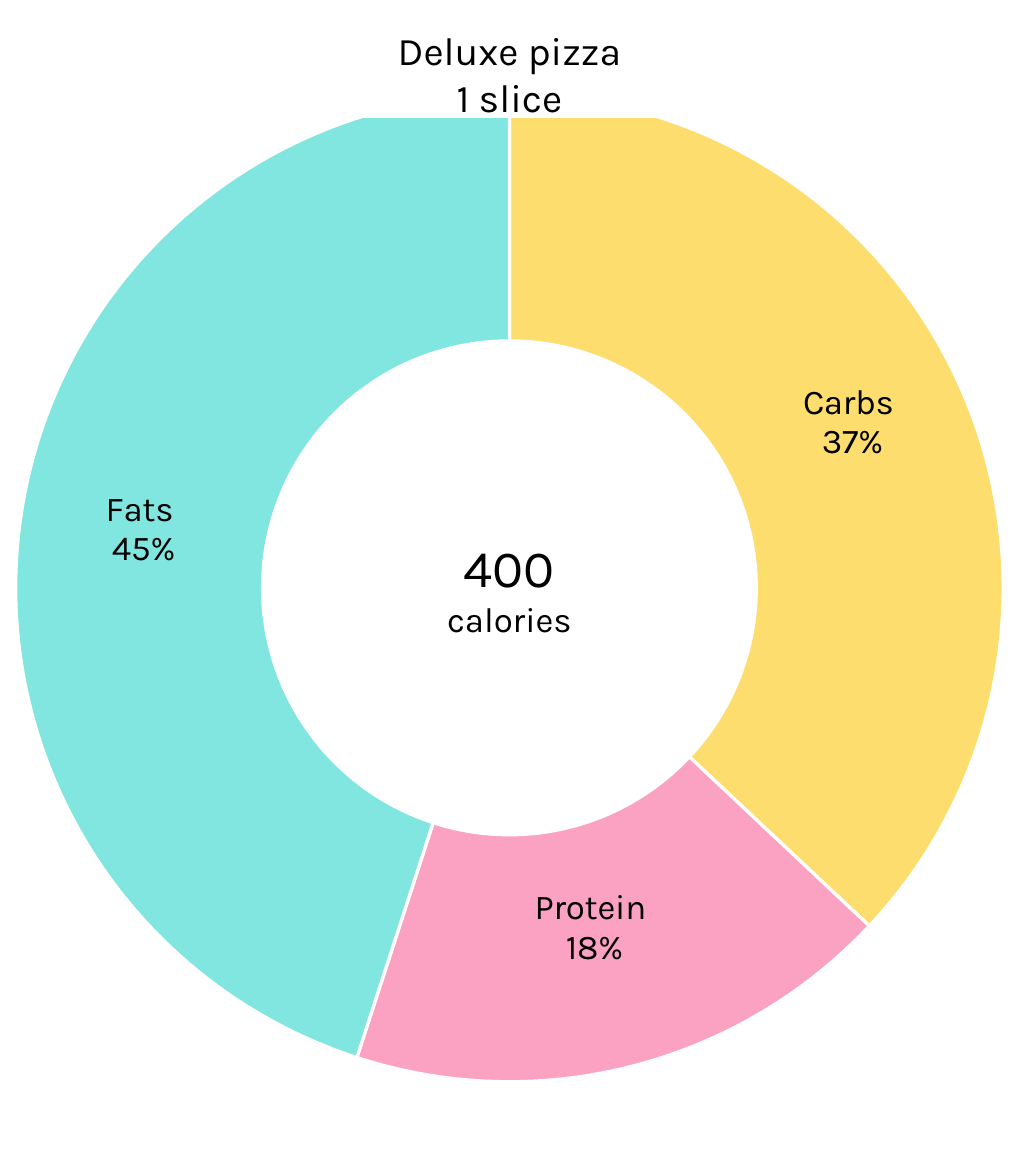
from lxml.etree import SubElement
from pptx import Presentation
from pptx.chart.data import CategoryChartData
from pptx.dml.color import RGBColor
from pptx.enum.chart import XL_CHART_TYPE
from pptx.enum.text import MSO_ANCHOR, MSO_AUTO_SIZE, PP_ALIGN
from pptx.oxml import parse_xml
from pptx.oxml.ns import nsdecls, qn
from pptx.util import Cm, Pt

COLORS = {"text": "000000", "paper": "FFFFFF",
          "Carbs": "FDDD6E", "Protein": "FBA1C1", "Fats": "81E5E0"}
SHARES = {"Carbs": 0.37, "Protein": 0.18, "Fats": 0.45}
LABELS = {"Carbs": ("Carbs ", "37%"), "Protein": ("Protein", " 18%"),
          "Fats": ("Fats ", "45%")}
# How far a label moves right and down from the middle of its segment
LABEL_SHIFTS = {"Carbs": (Cm(0.05), Cm(-0.3)), "Protein": (Cm(-0.18), Cm(-0.3))}
FONT = "Karla"


def color(name):
    return RGBColor.from_string(COLORS[name])


def style_font(font, size, family=FONT):
    font.name = family
    font.size = Pt(size)
    font.bold = False
    font.color.rgb = color("text")


def write_lines(frame, lines):
    """Fill a text frame with centred (text, size) lines."""
    for index, (text, size) in enumerate(lines):
        para = frame.paragraphs[0] if index == 0 else frame.add_paragraph()
        para.alignment = PP_ALIGN.CENTER
        para.add_run().text = text
        style_font(para.font, size)


def layout_xml(**settings):
    layout = parse_xml(f"<c:layout {nsdecls('c')}><c:manualLayout/></c:layout>")
    for name, value in settings.items():
        SubElement(layout[0], qn(f"c:{name}")).set("val", str(value))
    return layout


def add_doughnut(page, left, top, width, height):
    data = CategoryChartData(number_format="0%")
    data.categories = list(SHARES)
    data.add_series("Series 1", list(SHARES.values()))
    chart = page.shapes.add_chart(
        XL_CHART_TYPE.DOUGHNUT, left, top, width, height, data).chart
    chart.has_legend = False
    chart.has_title = False
    style_font(chart.font, 10, "Calibri")

    # Ring, centred in the chart
    plot_area = chart.plots[0]._element.getparent()
    for old in plot_area.findall(qn("c:layout")):
        plot_area.remove(old)
    plot_area.insert(0, layout_xml(layoutTarget="inner", xMode="edge", yMode="edge",
                                   x=0.02, y=0.08, w=0.96, h=0.84))
    plot_area.find(".//" + qn("c:holeSize")).set("val", "50")

    # Labels of the whole ring
    ring = chart.plots[0].series[0]
    labels = ring.data_labels
    style_font(labels.font, 12, "Calibri")
    labels.number_format = "0%"
    labels.number_format_is_linked = False
    labels.show_value = True
    labels.show_category_name = True
    labels.show_percentage = False

    # Segments and their labels
    for index, name in enumerate(SHARES):
        point = ring.points[index]
        point.format.fill.solid()
        point.format.fill.fore_color.rgb = color(name)
        point.format.line.color.rgb = color("paper")
        point.format.line.width = Pt(1.5)
        frame = point.data_label.text_frame
        write_lines(frame, [(text, 16) for text in LABELS[name]])
        for para in frame.paragraphs:
            style_font(para.runs[0].font, 16)
        label = frame._txBody.getparent().getparent()
        label.find(qn("c:showCatName")).set("val", "1")
        if name in LABEL_SHIFTS:
            right, down = LABEL_SHIFTS[name]
            label.insert(1, layout_xml(x=right / width, y=down / height))


def add_total(page, left, top, width, height):
    frame = page.shapes.add_textbox(left, top, width, height).text_frame
    frame.word_wrap = False
    write_lines(frame, [("400", 24), ("calories", 16)])


def place_title(page, left, top, width, height):
    title = page.shapes.title
    title.left, title.top, title.width, title.height = left, top, width, height
    title.fill.solid()
    title.fill.fore_color.rgb = color("paper")
    title.line.color.rgb = color("paper")
    title.line.width = Pt(1)
    frame = title.text_frame
    frame.auto_size = MSO_AUTO_SIZE.NONE
    frame.vertical_anchor = MSO_ANCHOR.MIDDLE
    write_lines(frame, [("Deluxe pizza", 18), ("1 slice", 18)])
    # The title covers the top of the ring
    page.shapes._spTree.append(title._element)


def main():
    deck = Presentation()
    deck.slide_width, deck.slide_height = Cm(16.51), Cm(19.05)
    page = deck.slides.add_slide(deck.slide_layouts[5])
    add_doughnut(page, Cm(-0.1), Cm(0), Cm(16.71), Cm(19.05))
    add_total(page, Cm(6.82), Cm(8.54), Cm(2.87), Cm(1.96))
    place_title(page, Cm(3.81), Cm(0.49), Cm(8.89), Cm(1.4))
    deck.save("out.pptx")


if __name__ == "__main__":
    main()
